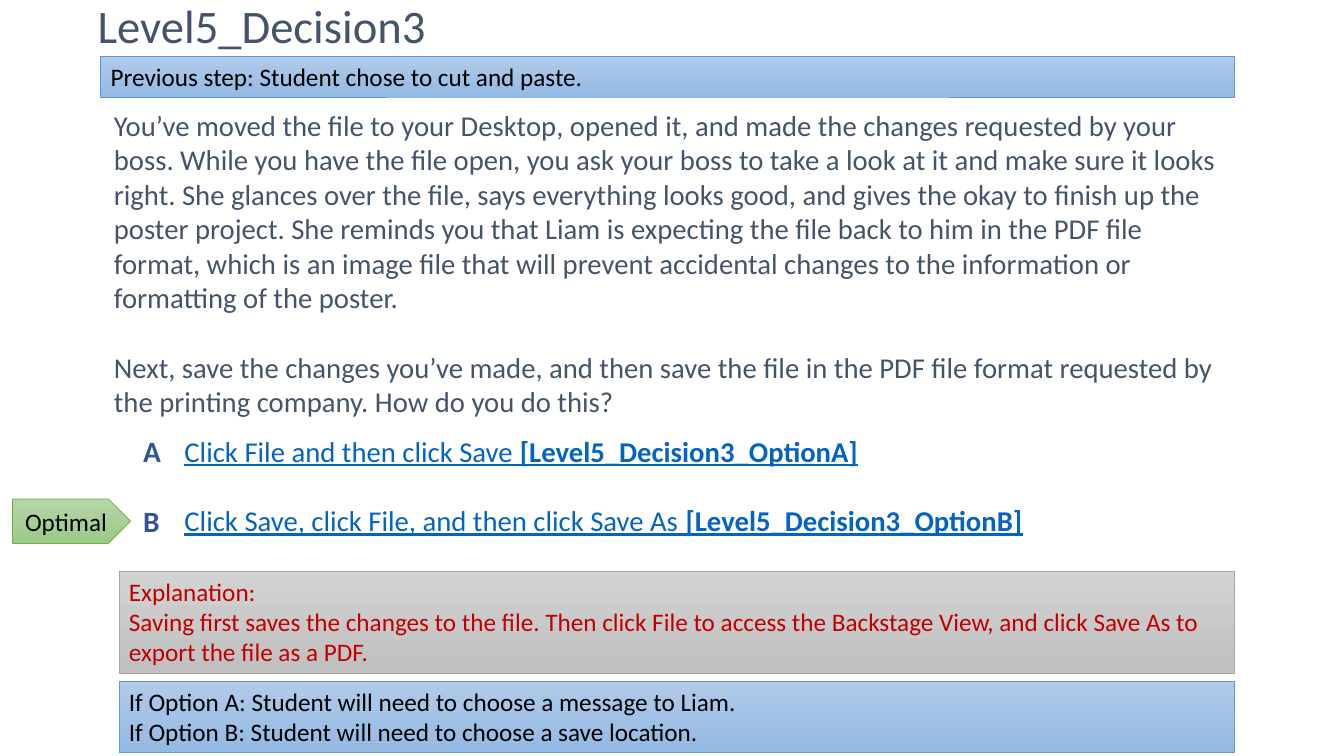
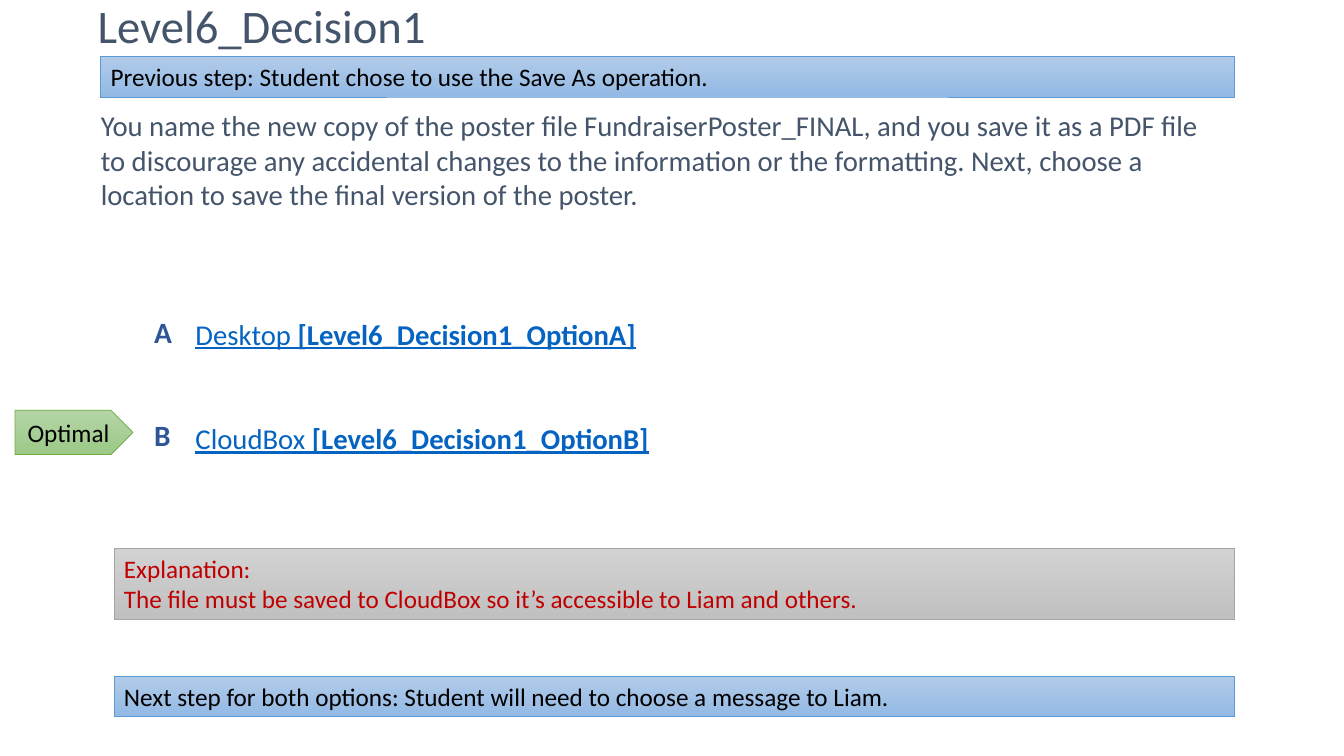
import dataclasses
import typing

import pptx
import pptx.dml.color
import pptx.enum.shapes
import pptx.enum.text
import pptx.shapes.autoshape
import pptx.slide
import pptx.util

Pt = pptx.util.Pt
Rgb = pptx.dml.color.RGBColor.from_string
Kind = pptx.enum.shapes.MSO_SHAPE
Anchor = pptx.enum.text.MSO_ANCHOR
Align = pptx.enum.text.PP_ALIGN
Shape = pptx.shapes.autoshape.Shape
Slide = pptx.slide.Slide


# Theme: colours, sizes and shared edges
class Tone(typing.NamedTuple):
    top: str
    base: str
    line: str


@dataclasses.dataclass(frozen=True)
class Theme:
    font: str = "Calibri"
    ink: str = "44546A"
    link: str = "0563C1"
    mark: str = "2F5597"
    black: str = "000000"
    red: str = "C00000"
    blue: Tone = Tone("B1CBE9", "93B9E4", "5B9BD5")
    grey: Tone = Tone("D2D2D2", "C0C0C0", "A5A5A5")
    green: Tone = Tone("B5D5A7", "9CC987", "70AD47")
    title: float = 33.3
    body: float = 20.5
    label: float = 21
    note: float = 18
    left: float = 72
    right: float = 882
    inset: tuple[float, float] = (7.2, 3.6)
    wide: tuple[float, float] = (9.36, 5.04)


THEME = Theme()


class Box(typing.NamedTuple):
    left: float
    top: float
    width: float
    height: float


class Run(typing.NamedTuple):
    text: str
    bold: bool = False


class Option(typing.NamedTuple):
    text: str
    code: str
    top: float


@dataclasses.dataclass(frozen=True)
class Page:
    title: str
    before: str
    story: list[str]
    body: Box
    options: list[Option]
    mark: float
    links: float
    gap: float
    badge: tuple[float, float]
    edge: float
    reason: str
    lines: int
    reason_top: float
    after: list[str]
    after_top: float


# Text
def write(shape: Shape, paras: list[list[Run]], *, size: float,
          color: str, inset: tuple[float, float] = THEME.inset,
          gap: float = 0, under: bool = False,
          anchor: Anchor = Anchor.TOP, align: Align = Align.LEFT,
          space: float = 1.0) -> None:
    frame = shape.text_frame
    frame.word_wrap = True
    frame.vertical_anchor = anchor
    frame.margin_left = frame.margin_right = Pt(inset[0])
    frame.margin_top = frame.margin_bottom = Pt(inset[1])
    for i, runs in enumerate(paras):
        para = frame.add_paragraph() if i else frame.paragraphs[0]
        para.alignment = align
        para.line_spacing = space
        if i and gap:
            para.space_before = Pt(gap)
        for item in runs:
            run = para.add_run()
            run.text = item.text
            font = run.font
            font.name = THEME.font
            font.size = Pt(size)
            font.bold = item.bold
            font.underline = under
            font.color.rgb = Rgb(color)


def plain(texts: list[str]) -> list[list[Run]]:
    return [[Run(text)] for text in texts]


def label(slide: Slide, box: Box, paras: list[list[Run]],
          **form: typing.Any) -> None:
    write(slide.shapes.add_textbox(*map(Pt, box)), paras, **form)


# Shaded shapes
def panel(slide: Slide, kind: Kind, box: Box, tone: Tone,
          texts: list[str], **form: typing.Any) -> None:
    shape = slide.shapes.add_shape(kind, *map(Pt, box))
    shape.shadow.inherit = False
    shape.fill.gradient()
    shape.fill.gradient_angle = 270
    for stop, color in zip(shape.fill.gradient_stops, tone):
        stop.color.rgb = Rgb(color)
    shape.line.color.rgb = Rgb(tone.line)
    shape.line.width = Pt(0.5)
    write(shape, plain(texts), size=THEME.note, **form)


def band(slide: Slide, left: float, top: float, tone: Tone,
         texts: list[str], color: str, lines: int) -> None:
    box = Box(left, top, THEME.right - left, 22 * lines + 7)
    panel(slide, Kind.RECTANGLE, box, tone, texts, color=color)


# One decision slide
def build(slide: Slide, page: Page) -> None:
    label(slide, page.body, plain(page.story), size=THEME.body,
          color=THEME.ink, inset=THEME.wide, gap=25)

    # Options and their letters
    left = page.mark + 29.5
    links = [[Run(o.text + " "), Run(f"[{page.title}_{o.code}]", True)]
             for o in page.options]
    label(slide, Box(left, page.links, THEME.right - left, 100), links,
          size=THEME.body, color=THEME.link, inset=THEME.wide,
          gap=page.gap, under=True)
    for option in page.options:
        label(slide, Box(page.mark, option.top, 50, 36),
              [[Run(option.code[-1], True)]], size=THEME.label,
              color=THEME.mark, inset=THEME.wide)
    panel(slide, Kind.PENTAGON, Box(*page.badge, 84.24, 31.7),
          THEME.green, ["Optimal"], color=THEME.black,
          anchor=Anchor.MIDDLE, align=Align.CENTER)

    # Title and bands
    label(slide, Box(62.64, 0.72, 820, 39.6), plain([page.title]),
          size=THEME.title, color=THEME.ink, anchor=Anchor.MIDDLE,
          space=0.9)
    band(slide, THEME.left, 40.3, THEME.blue,
         ["Previous step: " + page.before], THEME.black, 1)
    band(slide, page.edge, page.reason_top, THEME.grey,
         ["Explanation:", page.reason], THEME.red, page.lines)
    band(slide, page.edge, page.after_top, THEME.blue, page.after,
         THEME.black, len(page.after))


# Content
PAGES = [
    Page(
        title="Level5_Decision3",
        before="Student chose to cut and paste.",
        story=[
            "You’ve moved the file to your Desktop, opened it, and made "
            "the changes requested by your boss. While you have the file "
            "open, you ask your boss to take a look at it and make sure it "
            "looks right. She glances over the file, says everything looks "
            "good, and gives the okay to finish up the poster project. She "
            "reminds you that Liam is expecting the file back to him in "
            "the PDF file format, which is an image file that will prevent "
            "accidental changes to the information or formatting of the "
            "poster.",
            "Next, save the changes you’ve made, and then save the file in "
            "the PDF file format requested by the printing company. How do "
            "you do this?",
        ],
        body=Box(72, 72, 810, 255),
        options=[
            Option("Click File and then click Save", "OptionA", 304.5),
            Option("Click Save, click File, and then click Save As",
                   "OptionB", 354.2),
        ],
        mark=92.9, links=304.5, gap=25, badge=(9, 356.5), edge=85,
        reason="Saving first saves the changes to the file. Then click "
               "File to access the Backstage View, and click Save As to "
               "export the file as a PDF.",
        lines=3, reason_top=408,
        after=["If Option A: Student will need to choose a message to "
               "Liam.",
               "If Option B: Student will need to choose a save location."],
        after_top=486.7,
    ),
    Page(
        title="Level6_Decision1",
        before="Student chose to use the Save As operation.",
        story=[
            "You name the new copy of the poster file "
            "FundraiserPoster_FINAL, and you save it as a PDF file to "
            "discourage any accidental changes to the information or the "
            "formatting. Next, choose a location to save the final version "
            "of the poster.",
        ],
        body=Box(62.64, 72, 820, 290),
        options=[Option("Desktop", "OptionA", 219.6),
                 Option("CloudBox", "OptionB", 293)],
        mark=100.8, links=221, gap=50, badge=(10.8, 293), edge=81.4,
        reason="The file must be saved to CloudBox so it’s accessible to "
               "Liam and others.",
        lines=2, reason_top=391.7,
        after=["Next step for both options: Student will need to choose a "
               "message to Liam."],
        after_top=483,
    ),
]


def main() -> None:
    deck = pptx.Presentation()
    deck.slide_width, deck.slide_height = Pt(960), Pt(540)
    for page in PAGES:
        build(deck.slides.add_slide(deck.slide_layouts[6]), page)
    deck.save("out.pptx")


if __name__ == "__main__":
    main()
